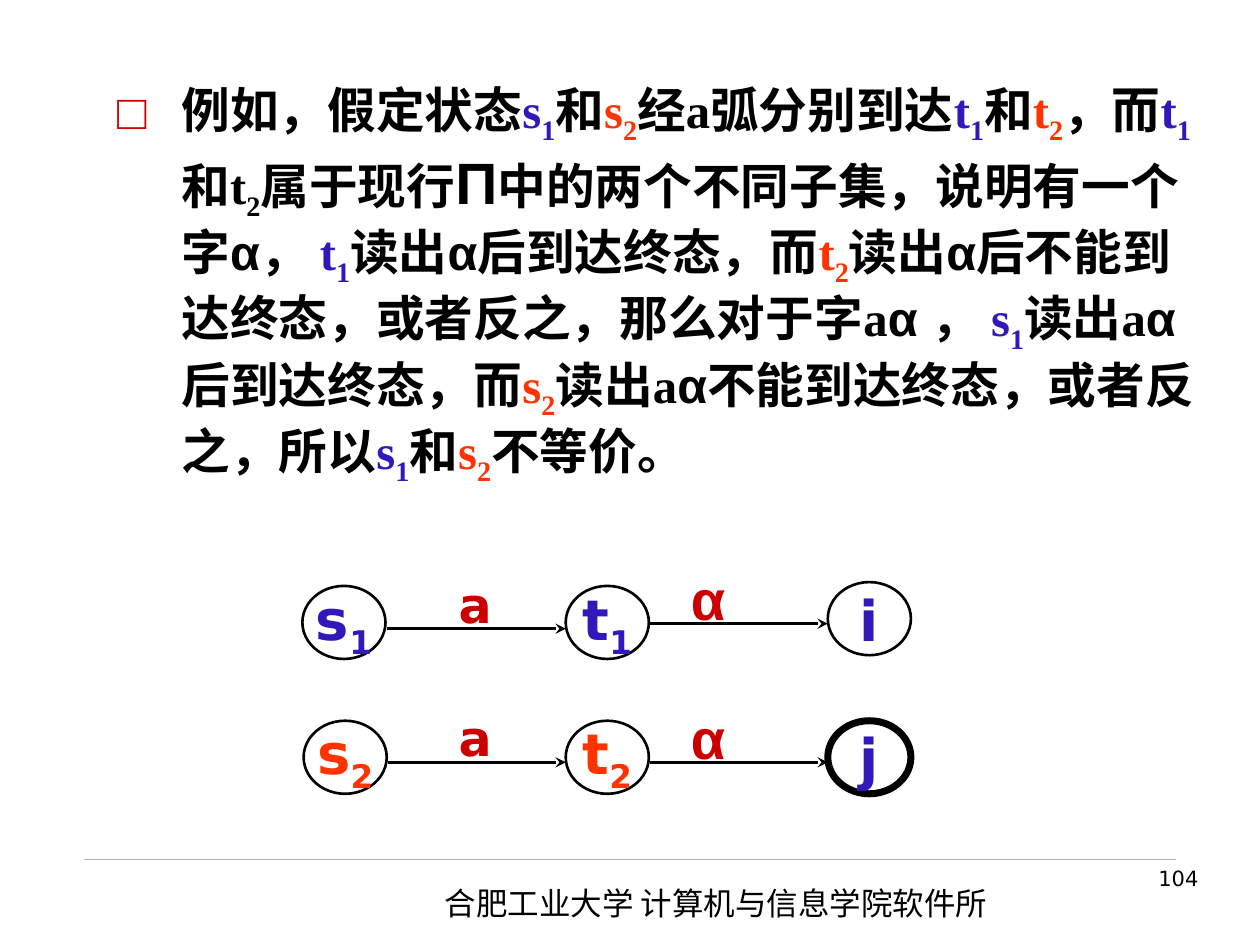
from typing import NamedTuple, Optional

from lxml import etree
from pptx import Presentation
from pptx.dml.color import RGBColor
from pptx.enum import shapes, text
from pptx.oxml.ns import qn
from pptx.util import Inches, Pt

BLUE = RGBColor(0x32, 0x17, 0xBB)
ORANGE = RGBColor(0xFF, 0x33, 0x00)
RED = RGBColor(0xCC, 0x00, 0x00)
BLACK = RGBColor(0, 0, 0)
GRAY = RGBColor(0xB2, 0xB2, 0xB2)
SANS, SERIF, GREEK, HAN = "DejaVu Sans", "Times New Roman", "Arial", "Noto Sans CJK SC"


class Run(NamedTuple):
    text: str
    color: RGBColor = BLACK
    sub: bool = False
    font: Optional[str] = None
    size: Optional[float] = None


class Node(NamedTuple):
    x: float
    y: float
    runs: list
    width: float = 1.5


class Arc(NamedTuple):
    x: float
    y: float
    end: float


class Label(NamedTuple):
    x: float
    y: float
    text: str
    font: str
    size: float


def state(name: str, num: str, color: RGBColor) -> list:
    return [Run(name, color), Run(num, color, sub=True)]


S1, T1 = state("s", "1", BLUE), state("t", "1", BLUE)
S2, T2 = state("s", "2", ORANGE), state("t", "2", ORANGE)
ALPHA = [Run("α", font=GREEK)]
ALPHA_GAP = [Run("α ", font=GREEK)]
BODY = [
    [Run("例如，假定状态")], S1, [Run("和")], S2, [Run("经a弧分别到达")], T1,
    [Run("和")], T2, [Run("，而")], T1, [Run("和")], state("t", "2", BLACK),
    [Run("属于现行"), Run("Π", font=GREEK, size=33.3)],
    [Run("中的两个不同子集，说明有一个字")], ALPHA, [Run("， ")], T1,
    [Run("读出")], ALPHA, [Run("后到达终态，而")], T2, [Run("读出")], ALPHA,
    [Run("后不能到达终态，或者反之，那么对于字a")], ALPHA_GAP, [Run("， ")], S1,
    [Run("读出a")], ALPHA, [Run("后到达终态，而")], S2, [Run("读出a")], ALPHA,
    [Run("不能到达终态，或者反之，所以")], S1, [Run("和")], S2, [Run("不等价。")],
]

NODES = [
    Node(2.4, 4.65, S1), Node(4.49, 4.65, T1), Node(6.57, 4.62, [Run("i", BLUE)]),
    Node(2.41, 5.72, S2), Node(4.49, 5.72, T2), Node(6.57, 5.72, [Run("j", BLUE)], 4),
]
ARCS = [Arc(3.07, 4.99, 4.49), Arc(5.16, 4.95, 6.57),
        Arc(3.08, 6.05, 4.49), Arc(5.16, 6.05, 6.57)]
LABELS = [
    Label(3.31, 4.5, "a", SANS, 28), Label(5.16, 4.46, "α", GREEK, 32),
    Label(3.31, 5.56, "a", SANS, 28), Label(5.16, 5.56, "α", GREEK, 32),
]


def box(*lengths: float) -> list:
    return [Inches(length) for length in lengths]


def write(para, runs: list, font: str, size: float, bold: bool = True) -> None:
    """Fill a paragraph, leaving to each run only what differs from it."""
    para.font.name, para.font.size, para.font.bold = font, Pt(size), bold
    for part in runs:
        run = para.add_run()
        run.text = part.text
        run.font.name = part.font or font
        run.font.size = Pt(part.size or size)
        run.font.bold = bold
        run.font.color.rgb = part.color
        if part.sub:
            run.font._element.set("baseline", "-25000")


def center(frame):
    """Centre a frame's text both ways and return its paragraph."""
    frame.word_wrap = False
    frame.vertical_anchor = text.MSO_ANCHOR.MIDDLE
    para = frame.paragraphs[0]
    para.alignment = text.PP_ALIGN.CENTER
    return para


def add_line(slide, arc: Arc, color: RGBColor, width: float, arrow: bool) -> None:
    line = slide.shapes.add_connector(
        shapes.MSO_CONNECTOR.STRAIGHT, *box(arc.x, arc.y, arc.end, arc.y))
    line.line.color.rgb = color
    line.line.width = Pt(width)
    if arrow:
        etree.SubElement(line.line._get_or_add_ln(), qn("a:tailEnd"), type="stealth")
    etree.SubElement(line._element.spPr, qn("a:effectLst"))


def add_node(slide, node: Node) -> None:
    oval = slide.shapes.add_shape(
        shapes.MSO_SHAPE.OVAL, *box(node.x, node.y, 0.66, 0.58))
    oval.shadow.inherit = False
    oval.fill.background()
    oval.line.color.rgb = BLACK
    oval.line.width = Pt(node.width)
    write(center(oval.text_frame), node.runs, SANS, 32)


def add_label(slide, label: Label) -> None:
    area = slide.shapes.add_textbox(*box(label.x, label.y, 0.92, 0.58))
    write(center(area.text_frame), [Run(label.text, RED)], label.font, label.size)


def add_body(slide) -> None:
    body = slide.placeholders[1]
    body.left, body.top, body.width, body.height = box(0.83, 0.58, 8.75, 3.8)
    body.text_frame.auto_size = text.MSO_AUTO_SIZE.NONE
    para = body.text_frame.paragraphs[0]
    props = para._p.get_or_add_pPr()
    props.set("marL", str(Inches(0.51)))
    props.set("indent", str(-Inches(0.51)))
    tint = etree.SubElement(props, qn("a:buClr"))
    etree.SubElement(tint, qn("a:srgbClr"), val=str(RED))
    etree.SubElement(props, qn("a:buChar"), char="□")
    para.space_before = Pt(0)
    write(para, [run for group in BODY for run in group], SERIF, 27.8)


def add_footer(slide) -> None:
    add_line(slide, Arc(0.67, 6.82, 9.33), GRAY, 0.25, arrow=False)
    school = slide.shapes.add_textbox(*box(3.43, 6.97, 4.72, 0.4)).text_frame
    school.word_wrap = True
    write(school.paragraphs[0], [Run("合肥工业大学 计算机与信息学院软件所")], HAN, 18, False)
    page = slide.shapes.add_textbox(*box(7.44, 6.82, 2.17, 0.52)).text_frame
    page.word_wrap = True
    page.paragraphs[0].alignment = text.PP_ALIGN.RIGHT
    write(page.paragraphs[0], [Run("104")], SANS, 12, False)


def main() -> None:
    deck = Presentation()
    deck.slide_width, deck.slide_height = box(10, 7.5)
    slide = deck.slides.add_slide(deck.slide_layouts[1])
    title = slide.shapes.title._element
    title.getparent().remove(title)
    add_footer(slide)
    add_body(slide)
    for node in NODES:
        add_node(slide, node)
    for arc in ARCS:
        add_line(slide, arc, BLACK, 1.5, arrow=True)
    for label in LABELS:
        add_label(slide, label)
    deck.save("out.pptx")


if __name__ == "__main__":
    main()
